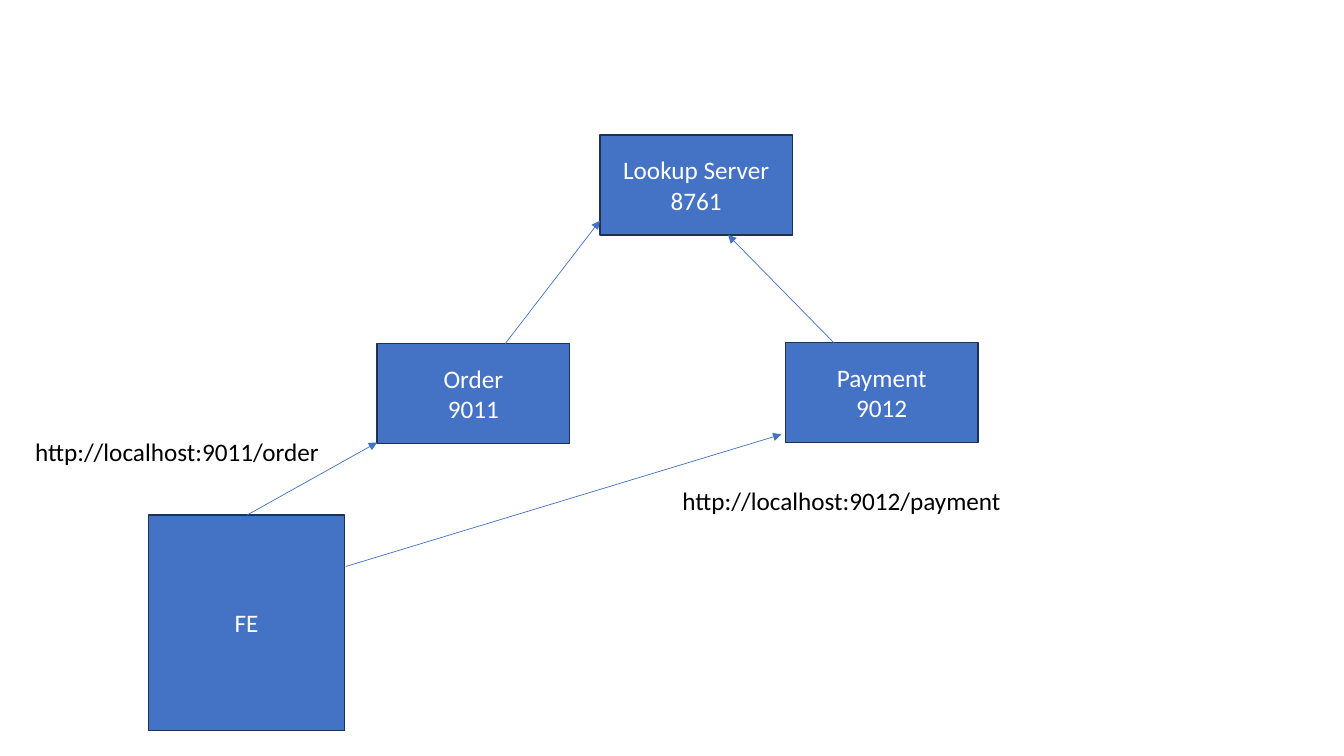
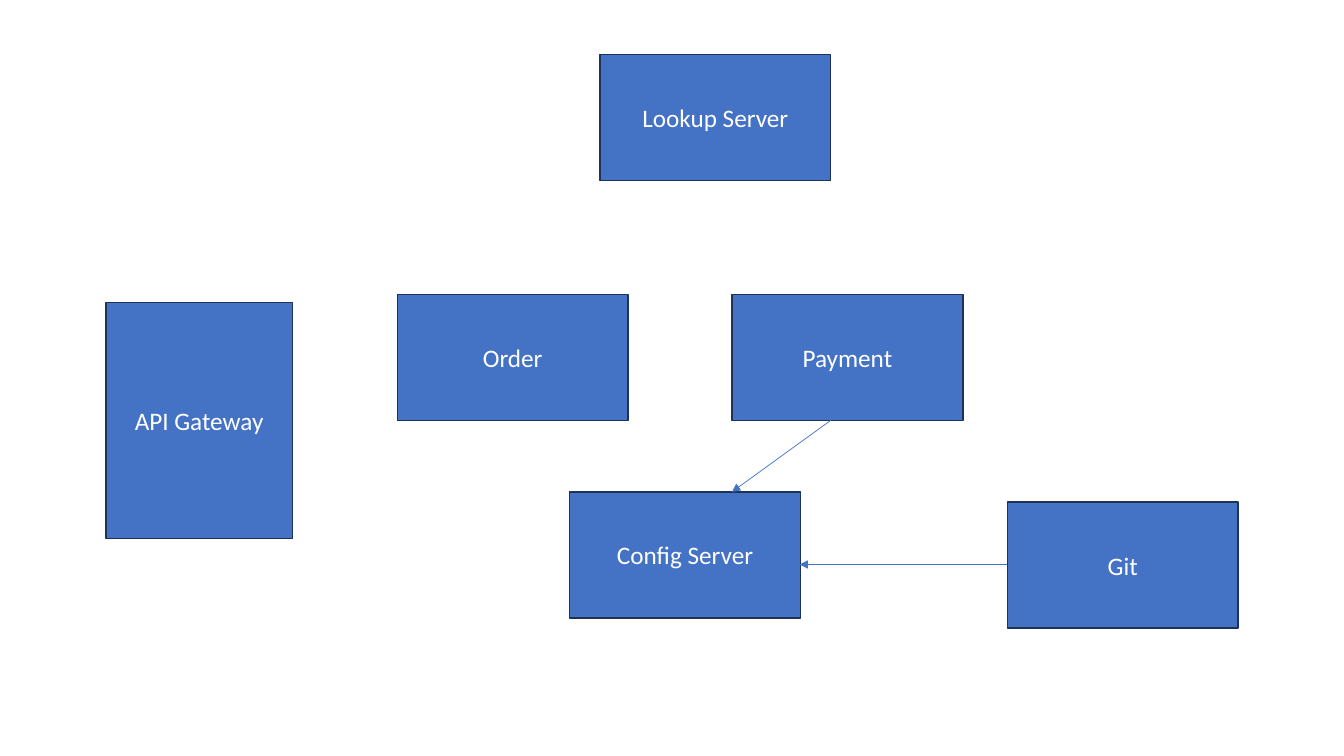
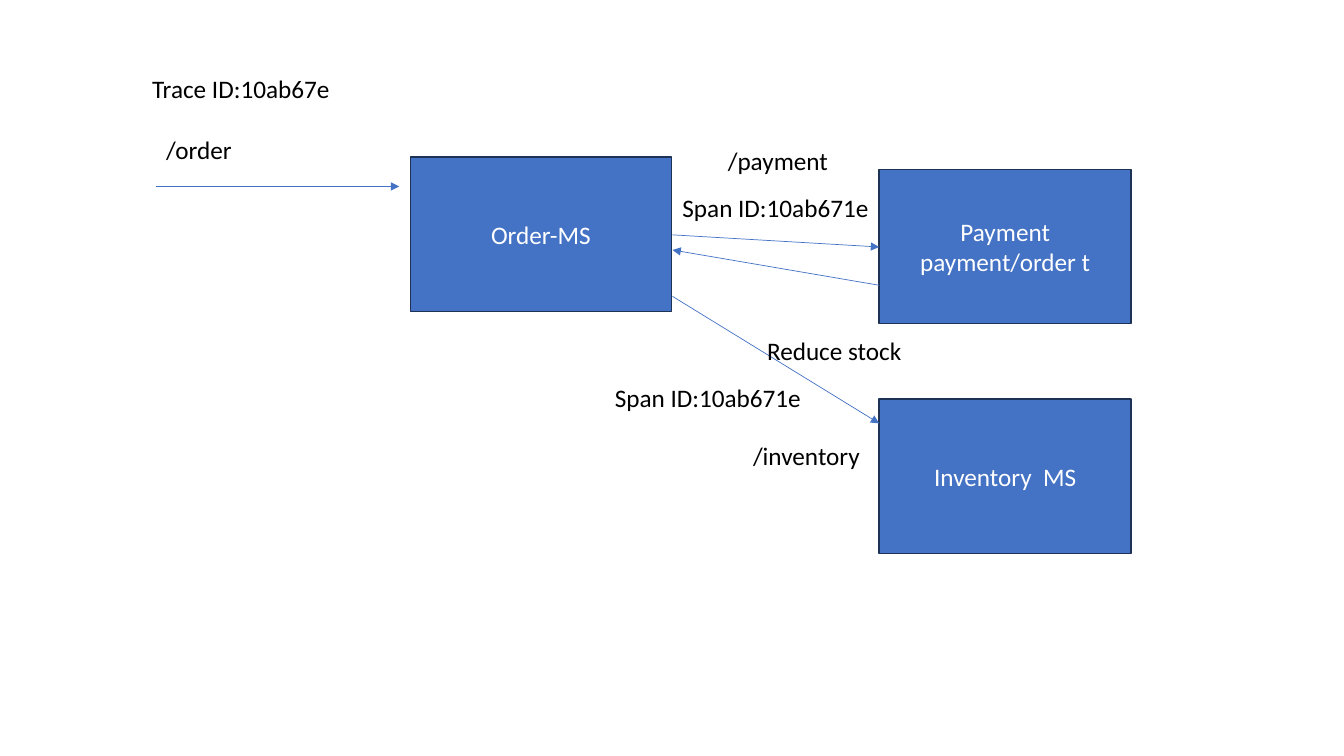
"""Build three microservice architecture diagrams."""
from pptx import Presentation
from pptx.dml.color import RGBColor
from pptx.enum.shapes import MSO_CONNECTOR, MSO_SHAPE
from pptx.enum.text import MSO_ANCHOR, MSO_AUTO_SIZE, PP_ALIGN
from pptx.oxml.ns import qn
from pptx.util import Pt
from lxml.etree import SubElement

PX = 9144
FONT = "Calibri"
BLUE = RGBColor(0x44, 0x72, 0xC4)
NAVY = RGBColor(0x1E, 0x32, 0x56)
WHITE = RGBColor(0xFF, 0xFF, 0xFF)
BLACK = RGBColor(0x00, 0x00, 0x00)

REGISTRY = "Lookup Server"
SERVICE = (191, 99)
SERVER = (229, 125)
MS = (250, 153)
LABEL_H = 40

SLIDES = [
    {
        "boxes": [
            (374, 341, SERVICE, ["Order", "9011"]),
            (779, 340, SERVICE, ["Payment", "9012"]),
            (595, 134, SERVICE, [REGISTRY, "8761"]),
            (147, 511, (195, 214), ["FE"]),
        ],
        "arrows": [
            (501, 341, 595, 219),
            (828, 341, 722, 233),
            (245, 511, 374, 439),
            (343, 562, 775, 431),
        ],
        "labels": [
            (25, 428, 384, "http://localhost:9011/order"),
            (667, 477, 384, "http://localhost:9012/payment"),
        ],
    },
    {
        "boxes": [
            (394, 292, SERVER, ["Order"]),
            (726, 292, SERVER, ["Payment"]),
            (105, 300, (185, 234), ["API Gateway"]),
            (595, 54, SERVER, [REGISTRY]),
            (565, 488, SERVER, ["Config Server"]),
            (999, 498, SERVER, ["Git"]),
        ],
        "arrows": [
            (824, 417, 726, 488),
            (999, 560, 793, 560),
        ],
        "labels": [],
    },
    {
        "boxes": [
            (407, 156, (259, 153), ["Order-MS"]),
            (872, 168, MS, ["Payment payment/order t"]),
            (872, 396, MS, ["Inventory  MS"]),
        ],
        "arrows": [
            (155, 185, 396, 185),
            (667, 233, 872, 245),
            (667, 294, 872, 420),
            (872, 283, 667, 248),
        ],
        "labels": [
            (155, 128, 200, "/order"),
            (751, 328, 334, "Reduce stock"),
            (141, 68, 240, "Trace ID:10ab67e"),
            (667, 186, 240, "Span ID:10ab671e"),
            (600, 374, 240, "Span ID:10ab671e"),
            (712, 139, 152, "/payment"),
            (737, 432, 152, "/inventory"),
        ],
    },
]


def write(tf, lines, color, align):
    tf.word_wrap = True
    for i, line in enumerate(lines):
        p = tf.paragraphs[0] if i == 0 else tf.add_paragraph()
        p.alignment = align
        r = p.add_run()
        r.text = line
        r.font.name = FONT
        r.font.size = Pt(18)
        r.font.color.rgb = color


prs = Presentation()
prs.slide_width = 1333 * PX
prs.slide_height = 750 * PX

for diagram in SLIDES:
    s = prs.slides.add_slide(prs.slide_layouts[6])

    for x, y, (w, h), lines in diagram["boxes"]:
        sp = s.shapes.add_shape(MSO_SHAPE.RECTANGLE, x * PX, y * PX, w * PX, h * PX)
        sp.shadow.inherit = False
        sp.fill.solid()
        sp.fill.fore_color.rgb = BLUE
        sp.line.color.rgb = NAVY
        sp.line.width = Pt(1)
        sp.text_frame.vertical_anchor = MSO_ANCHOR.MIDDLE
        write(sp.text_frame, lines, WHITE, PP_ALIGN.CENTER)

    for x1, y1, x2, y2 in diagram["arrows"]:
        arrow = s.shapes.add_connector(
            MSO_CONNECTOR.STRAIGHT, x1 * PX, y1 * PX, x2 * PX, y2 * PX)
        arrow.line.color.rgb = BLUE
        arrow.line.width = Pt(0.5)
        sp_pr = arrow._element.spPr
        SubElement(sp_pr.get_or_add_ln(), qn("a:tailEnd"), type="triangle")
        SubElement(sp_pr, qn("a:effectLst"))

    for x, y, w, text in diagram["labels"]:
        tf = s.shapes.add_textbox(x * PX, y * PX, w * PX, LABEL_H * PX).text_frame
        tf.auto_size = MSO_AUTO_SIZE.SHAPE_TO_FIT_TEXT
        write(tf, [text], BLACK, PP_ALIGN.LEFT)

prs.save("out.pptx")
